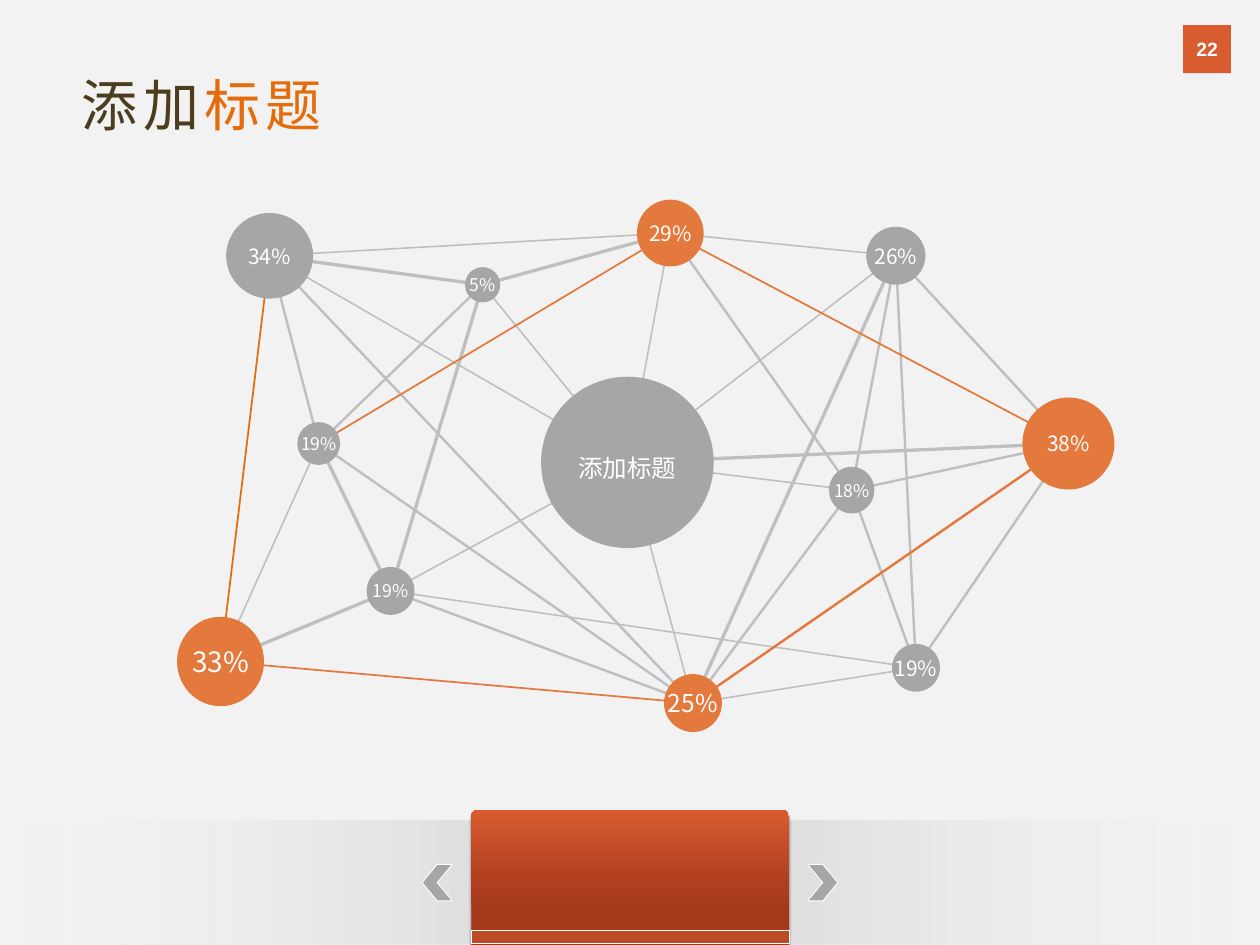
"""Build a slide showing a network of percentage circles around a central hub."""
from lxml.etree import SubElement
from pptx import Presentation
from pptx.dml.color import RGBColor
from pptx.enum.shapes import MSO_CONNECTOR as Connector, MSO_SHAPE as Shape
from pptx.enum.text import MSO_ANCHOR as Anchor, MSO_AUTO_SIZE as AutoSize, PP_ALIGN as Align
from pptx.oxml.ns import qn
from pptx.util import Inches, Pt

WHITE = RGBColor(0xFF, 0xFF, 0xFF)
BLACK = RGBColor(0x00, 0x00, 0x00)
PAPER = RGBColor(0xF2, 0xF2, 0xF2)
SILVER = RGBColor(0xBF, 0xBF, 0xBF)
GRAY = RGBColor(0xA6, 0xA6, 0xA6)
ORANGE = RGBColor(0xE3, 0x79, 0x3D)
DEEP_ORANGE = RGBColor(0xE4, 0x6C, 0x0A)
BROWN = RGBColor(0x4C, 0x3D, 0x1E)
RED = RGBColor(0xD9, 0x5B, 0x30)
DARK_RED = RGBColor(0xA5, 0x38, 0x1B)
MID_RED = RGBColor(0xB2, 0x41, 0x20)
EDGE_RED = RGBColor(0xBC, 0x4A, 0x22)

NODES = {
    "east": (8.48, 3.52, 0.73, 0.73, ORANGE, "38%", 12, 0.76),
    "south": (5.5, 5.58, 0.46, 0.46, ORANGE, "25%", 14, 0.77),
    "southwest": (1.75, 5.25, 0.69, 0.71, ORANGE, "33%", 16, 0.77),
    "west": (2.53, 3.52, 0.34, 0.34, GRAY, "19%", 10, 0.57),
    "north": (5.32, 1.85, 0.53, 0.53, ORANGE, "29%", 12, 0.69),
    "hub": (4.98, 3.67, 1.37, 1.36, GRAY, "添加标题", 14, 1.09),
    "northwest": (2.14, 2.03, 0.69, 0.68, GRAY, "34%", 12, 0.69),
    "lower": (3.1, 4.69, 0.38, 0.38, GRAY, "19%", 10, 0.57),
    "northeast": (7.11, 2.03, 0.47, 0.46, GRAY, "26%", 12, 0.69),
    "inner": (6.76, 3.89, 0.36, 0.37, GRAY, "18%", 10, 0.77),
    "southeast": (7.27, 5.3, 0.38, 0.38, GRAY, "19%", 12, 0.77),
    "upper": (3.83, 2.26, 0.28, 0.28, GRAY, "5%", 10, 0.48),
}
LABEL_DROP = {"hub": 0.04}

LINKS = [
    (SILVER, 0.9, {
        "hub": ["northwest", "lower", "south", "inner", "upper", "north", "northeast"],
        "southwest": ["west"],
        "southeast": ["south", "lower"],
        "north": ["northwest", "northeast"],
    }),
    (SILVER, 1.4, {
        "west": ["northwest", "upper", "south"],
        "lower": ["south"],
        "inner": ["southeast", "south", "east", "northeast", "north"],
        "east": ["southeast", "northeast"],
        "northeast": ["southeast"],
        "south": ["northwest"],
    }),
    (SILVER, 1.9, {
        "upper": ["northwest", "lower", "north"],
        "lower": ["west", "southwest"],
        "northeast": ["south"],
        "hub": ["east"],
    }),
    (ORANGE, 1, {"southwest": ["south"], "north": ["west", "east"]}),
    (ORANGE, 1.4, {"south": ["east"]}),
    (DEEP_ORANGE, 1, {"northwest": ["southwest"]}),
]


class SlideBuilder:
    """Hold the type style and the slide being drawn."""

    def __init__(self, slide, font="Noto Sans CJK SC"):
        self.slide = slide
        self.font = font
        slide.background.fill.solid()
        slide.background.fill.fore_color.rgb = PAPER

    def format_run(self, run, size, color, font=None, bold=False):
        """Apply one typeface to Latin and East Asian text."""
        name = font or self.font
        run.font.size = Pt(size)
        run.font.bold = bold
        run.font.color.rgb = color
        run.font.name = name
        SubElement(run.font._element, qn("a:ea"), typeface=name)

    def title(self, box, parts, size, spacing):
        """Fill the title placeholder with coloured parts."""
        shape = self.slide.shapes.title
        shape.left, shape.top, shape.width, shape.height = map(Inches, box)
        frame = shape.text_frame
        frame.word_wrap = False
        frame.auto_size = AutoSize.NONE
        frame.vertical_anchor = Anchor.MIDDLE
        paragraph = frame.paragraphs[0]
        paragraph.alignment = Align.LEFT
        for text, color in parts:
            run = paragraph.add_run()
            run.text = text
            self.format_run(run, size, color)
            run.font._element.set("spc", str(spacing * 100))

    def label(self, shape, text, size, font=None, bold=False):
        """Put white centred text in a shape."""
        frame = shape.text_frame
        frame.text = text
        frame.word_wrap = True
        frame.vertical_anchor = Anchor.MIDDLE
        paragraph = frame.paragraphs[0]
        paragraph.alignment = Align.CENTER
        self.format_run(paragraph.runs[0], size, WHITE, font, bold)

    def shape(self, kind, box, fill=None, line_width=None):
        """Add a flat preset shape with an optional white outline."""
        shape = self.slide.shapes.add_shape(kind, *map(Inches, box))
        shape.shadow.inherit = False
        if fill is not None:
            shape.fill.solid()
            shape.fill.fore_color.rgb = fill
        if line_width:
            shape.line.color.rgb = WHITE
            shape.line.width = Pt(line_width)
        else:
            shape.line.fill.background()
        return shape

    def gradient(self, shape, stops, angle):
        """Fill a shape with stops of position, colour and opacity."""
        shape.fill.gradient()
        gradient = shape._element.spPr.find(qn("a:gradFill"))
        stop_list = gradient.find(qn("a:gsLst"))
        for stop in list(stop_list):
            stop_list.remove(stop)
        for position, color, opacity in stops:
            stop = SubElement(stop_list, qn("a:gs"), pos=str(position * 1000))
            value = SubElement(stop, qn("a:srgbClr"), val=str(color))
            SubElement(value, qn("a:alpha"), val=str(opacity * 1000))
        gradient.find(qn("a:lin")).set("ang", str(angle * 60000))

    def shadow(self, shape, blur, distance, angle, opacity):
        """Give a shape an outer black shadow."""
        effects = shape._element.spPr.find(qn("a:effectLst"))
        outer = SubElement(effects, qn("a:outerShdw"), blurRad=str(Pt(blur)),
                           dist=str(Pt(distance)), dir=str(angle * 60000))
        value = SubElement(outer, qn("a:srgbClr"), val=str(BLACK))
        SubElement(value, qn("a:alpha"), val=str(opacity * 1000))

    def link(self, start, end, color, width):
        """Draw a line between the centres of two nodes."""
        points = map(Inches, NODES[start][:2] + NODES[end][:2])
        connector = self.slide.shapes.add_connector(Connector.STRAIGHT, *points)
        connector.line.color.rgb = color
        connector.line.width = Pt(width)
        SubElement(connector._element.spPr, qn("a:effectLst"))

    def node(self, name):
        """Draw a circle and its label around the same centre."""
        x, y, width, height, color, text, size, label_width = NODES[name]
        self.shape(Shape.OVAL, (x - width / 2, y - height / 2, width, height), color)
        label_height = 0.1 + size * 0.017
        top = y - label_height / 2 + LABEL_DROP.get(name, 0)
        box = (x - label_width / 2, top, label_width, label_height)
        self.label(self.slide.shapes.add_textbox(*map(Inches, box)), text, size)


def main():
    """Assemble and save the slide."""
    presentation = Presentation()
    presentation.slide_width = Inches(10)
    presentation.slide_height = Inches(7.5)
    builder = SlideBuilder(presentation.slides.add_slide(presentation.slide_layouts[5]))

    band = builder.shape(Shape.RECTANGLE, (0, 6.51, 10, 0.99))
    builder.gradient(band, [(0, PAPER, 0), (50, SILVER, 65), (100, PAPER, 0)], 180)
    for left, rotation in ((6.41, 0), (3.35, 180)):
        chevron = builder.shape(Shape.CHEVRON, (left, 6.86, 0.24, 0.29), GRAY, 0.5)
        chevron.rotation = rotation
    card = builder.shape(Shape.ROUNDED_RECTANGLE, (3.74, 6.43, 2.52, 1.26))
    card.adjustments[0] = 0.04
    builder.gradient(card, [(36, DARK_RED, 100), (59, MID_RED, 100), (100, RED, 100)], 270)
    builder.shadow(card, 1.5, 2, 90, 40)
    page_number = builder.shape(Shape.RECTANGLE, (9.39, 0.2, 0.38, 0.38), RED)
    page_number.text_frame.margin_left = page_number.text_frame.margin_right = 0
    builder.label(page_number, "22", 11, "Arial", True)
    builder.shape(Shape.RECTANGLE, (3.74, 7.38, 2.52, 0.11), EDGE_RED, 0.25)
    builder.title((0.55, 0.51, 2.27, 0.64), [("添加", BROWN), ("标题", DEEP_ORANGE)], 32, 3)

    for color, width, routes in LINKS:
        for start, ends in routes.items():
            for end in ends:
                builder.link(start, end, color, width)
    for name in NODES:
        builder.node(name)
    presentation.save("out.pptx")


if __name__ == "__main__":
    main()
